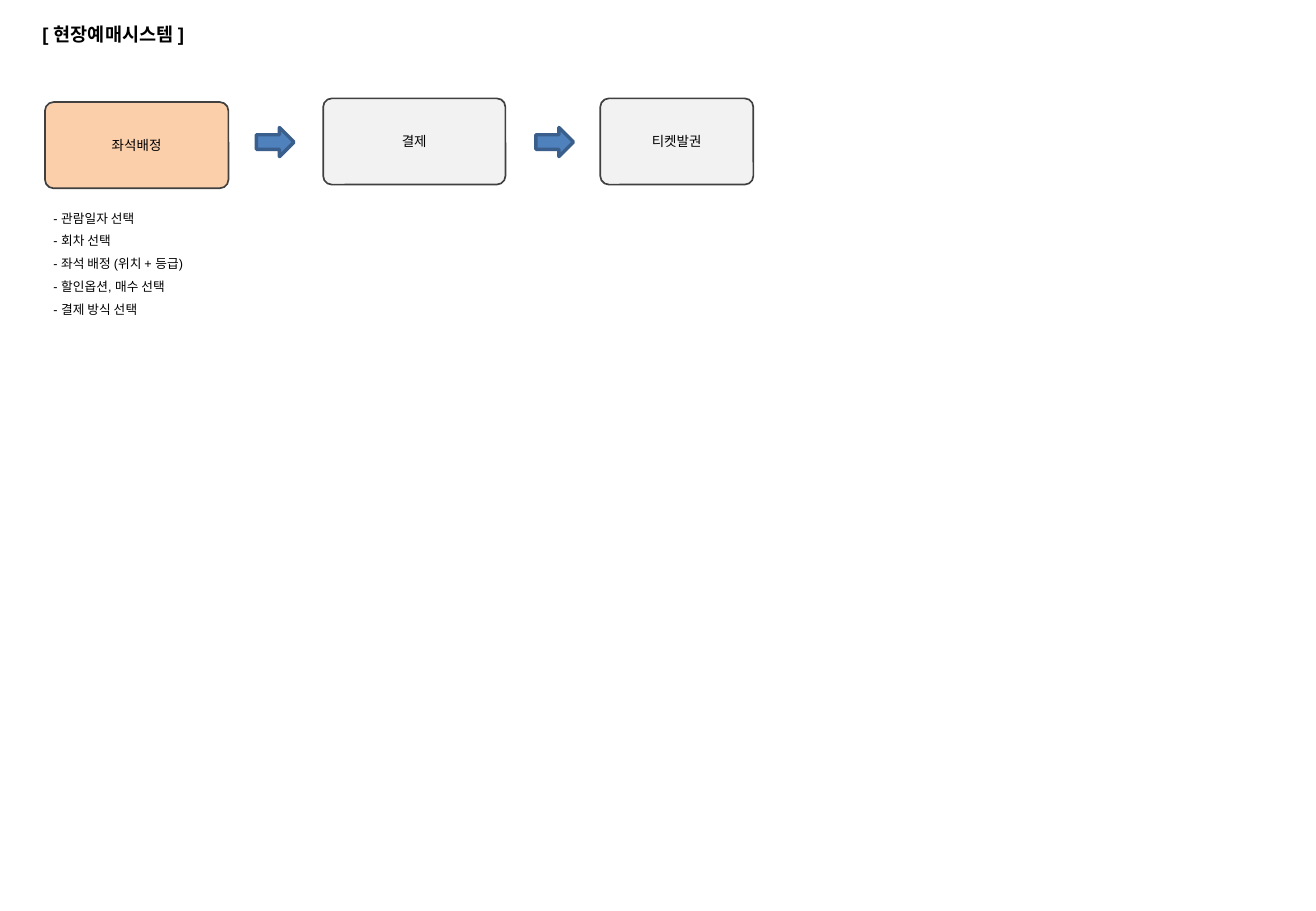
from lxml import etree
from pptx import Presentation
from pptx.dml.color import RGBColor
from pptx.enum.shapes import MSO_SHAPE
from pptx.enum.text import MSO_ANCHOR, PP_ALIGN
from pptx.oxml.ns import qn
from pptx.util import Pt

PX = 9144  # 100 px to the inch
ROUNDED = MSO_SHAPE.ROUNDED_RECTANGLE
ARROW = MSO_SHAPE.RIGHT_ARROW
MIDDLE = MSO_ANCHOR.MIDDLE
LEFT, CENTER = PP_ALIGN.LEFT, PP_ALIGN.CENTER

LATIN, KOREAN = "Arial", "Noto Sans CJK KR"
COLORS = {
    "text": "000000",
    "active": "F68222",
    "step": "F2F2F2",
    "step_line": "404040",
    "arrow": "4F81BD",
    "arrow_line": "3A5F8C",
}

TITLE_BOX = (25, 14, 155, 29)
STEPS = [
    ("좌석배정", (37, 84, 151, 71), "active", 38),
    ("결제", (266, 81, 150, 71), "step", 100),
    ("티켓발권", (494, 81, 126, 71), "step", 100),
]
ARROW_BOXES = [(left, 105, 31, 24) for left in (211, 441)]
TASKS_BOX = (34, 162, 141, 105)
TASKS = [
    "- 관람일자 선택",
    "- 회차 선택",
    "- 좌석 배정 (위치 + 등급)",
    "- 할인옵션, 매수 선택",
    "- 결제 방식 선택",
]


def to_emu(box):
    return [length * PX for length in box]


def color(name):
    return RGBColor.from_string(COLORS[name])


def write_lines(frame, lines, size, font=LATIN, bold=False, align=LEFT, spacing=1):
    for index, line in enumerate(lines):
        para = frame.paragraphs[0] if index == 0 else frame.add_paragraph()
        para.text = line
        para.alignment = align
        para.line_spacing = spacing
        para.font.size = Pt(size)
        para.font.bold = bold
        para.font.color.rgb = color("text")
        para.font.name = font
        for properties in para._p.iter(qn("a:defRPr")):
            etree.SubElement(properties, qn("a:ea")).set("typeface", KOREAN)


def add_text(slide, box, lines, size, wrap=False, **style):
    frame = slide.shapes.add_textbox(*to_emu(box)).text_frame
    frame.word_wrap = wrap
    write_lines(frame, lines, size, **style)


def add_block(slide, kind, box, fill, line, line_width):
    shape = slide.shapes.add_shape(kind, *to_emu(box))
    shape.shadow.inherit = False
    shape.fill.solid()
    shape.fill.fore_color.rgb = color(fill)
    shape.line.color.rgb = color(line)
    shape.line.width = Pt(line_width)
    return shape


def add_step(slide, box, label, fill, opacity):
    shape = add_block(slide, ROUNDED, box, fill, "step_line", 1)
    shape.adjustments[0] = 0.1
    if opacity < 100:
        fill_color = shape._element.spPr.find(qn("a:solidFill"))[0]
        etree.SubElement(fill_color, qn("a:alpha")).set("val", str(opacity * 1000))
    shape.text_frame.vertical_anchor = MIDDLE
    write_lines(shape.text_frame, [label], 8, font=KOREAN, align=CENTER)


def add_flow(slide):
    for label, box, fill, opacity in STEPS:
        add_step(slide, box, label, fill, opacity)
    for box in ARROW_BOXES:
        add_block(slide, ARROW, box, "arrow", "arrow_line", 2)


def main():
    deck = Presentation()
    deck.slide_width, deck.slide_height = to_emu((1083, 750))
    slide = deck.slides.add_slide(deck.slide_layouts[6])
    add_text(slide, TITLE_BOX, ["[ 현장예매시스템 ]"], 11, bold=True)
    add_flow(slide)
    add_text(slide, TASKS_BOX, TASKS, 7.5, wrap=True, spacing=1.5)
    deck.save("out.pptx")


if __name__ == "__main__":
    main()
